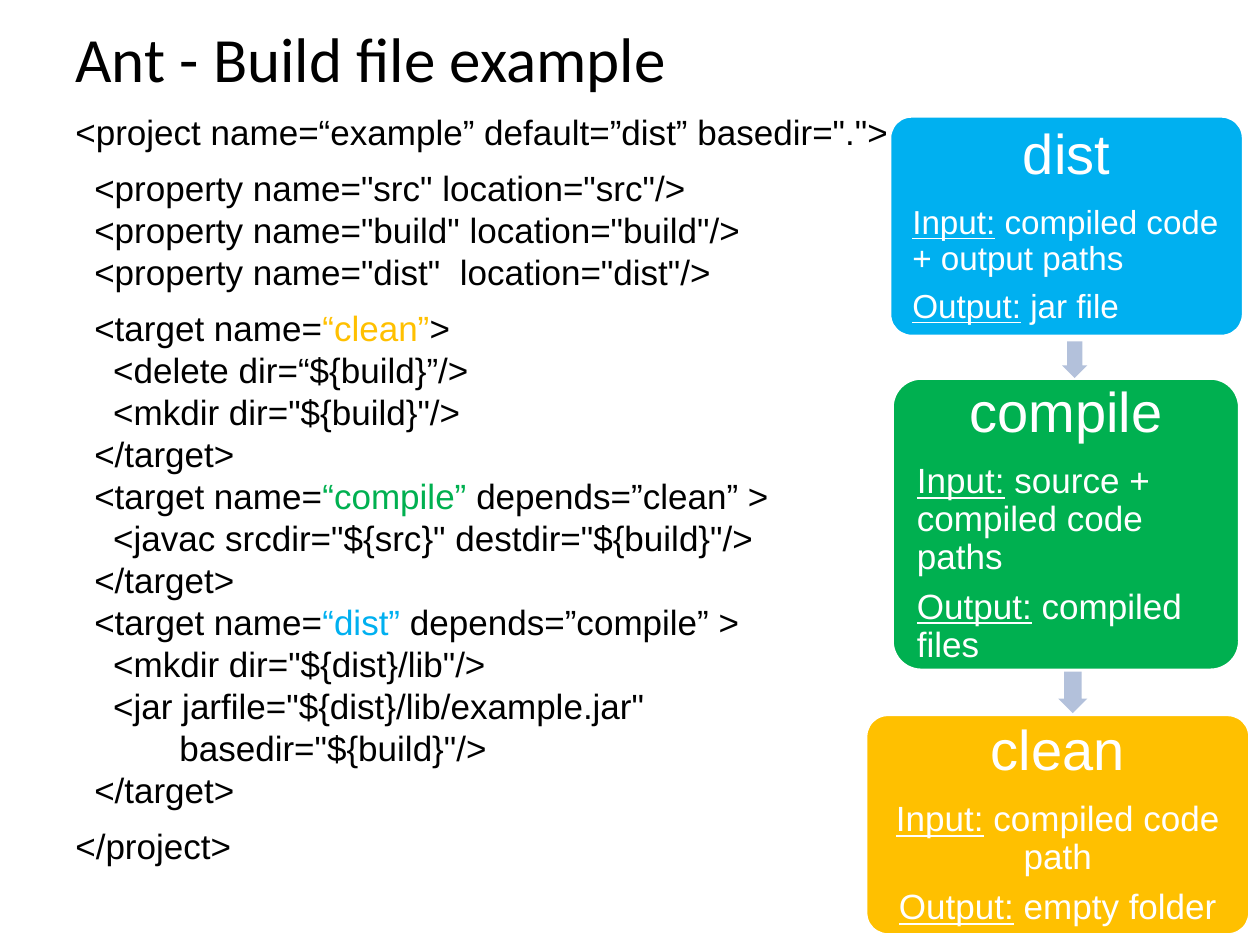
from pptx import Presentation
from pptx.dml.color import RGBColor
from pptx.enum.shapes import MSO_SHAPE
from pptx.enum.text import MSO_ANCHOR, PP_ALIGN
from pptx.util import Inches, Pt

ROUND, DOWN = MSO_SHAPE.ROUNDED_RECTANGLE, MSO_SHAPE.DOWN_ARROW
TOP, MIDDLE = MSO_ANCHOR.TOP, MSO_ANCHOR.MIDDLE
LEFT, CENTER = PP_ALIGN.LEFT, PP_ALIGN.CENTER
BLACK, WHITE, PALE = "000000", "FFFFFF", "B3C1DB"
BLUE, GREEN, GOLD = "00B0F0", "00B050", "FFC000"
STEP = 0.15
GAP = 8

CODE = [
    (0, 0, ["<project name=“example” default=”dist” basedir=\".\">"]),
    (1, GAP, ["<property name=\"src\" location=\"src\"/>"]),
    (1, 0, ["<property name=\"build\" location=\"build\"/>"]),
    (1, 0, ["<property name=\"dist\"  location=\"dist\"/>"]),
    (1, GAP, ["<target name=", ("“clean”", GOLD), ">"]),
    (2, 0, ["<delete dir=“${build}”/>"]),
    (2, 0, ["<mkdir dir=\"${build}\"/>"]),
    (1, 0, ["</target>"]),
    (1, 0, ["<target name=", ("“compile” ", GREEN), "depends=”clean” >"]),
    (2, 0, ["<javac srcdir=\"${src}\" destdir=\"${build}\"/>"]),
    (1, 0, ["</target>"]),
    (1, 0, ["<target name=", ("“dist” ", BLUE), "depends=”compile” >"]),
    (2, 0, ["<mkdir dir=\"${dist}/lib\"/>"]),
    (2, 0, ["<jar jarfile=\"${dist}/lib/example.jar\""]),
    (5.5, 0, ["basedir=\"${build}\"/>"]),
    (1, 0, ["</target>"]),
    (0, GAP, ["</project>"]),
]

CARDS = [
    ((7.06, 0.92, 2.81, 1.75), BLUE, "dist", 19, LEFT,
     "compiled code + output paths", "jar file"),
    ((7.08, 3, 2.76, 2.32), GREEN, "compile", 20, LEFT,
     "source + compiled code paths", "compiled files"),
    ((6.87, 5.67, 3.05, 1.75), GOLD, "clean", 20, CENTER,
     "compiled code path", "empty folder"),
]
ARROWS = [(8.43, 2.71, 0.2, 0.29), (8.4, 5.33, 0.23, 0.33)]


def tint(text):
    return RGBColor.from_string(text)


def apply(target, values):
    for name, value in values.items():
        setattr(target, name, value)


def write(para, text, size, color=BLACK, face="Arial", under=False):
    run = para.add_run()
    run.text = text
    apply(run.font, {"size": Pt(size), "name": face, "underline": under})
    run.font.color.rgb = tint(color)


def field(slide, box, anchor):
    frame = slide.shapes.add_textbox(*map(Inches, box)).text_frame
    apply(frame, {"word_wrap": True, "vertical_anchor": anchor})
    return frame


def block(slide, kind, box, fill):
    shape = slide.shapes.add_shape(kind, *map(Inches, box))
    shape.shadow.inherit = False
    shape.fill.solid()
    shape.fill.fore_color.rgb = tint(fill)
    return shape


def title(slide, box):
    frame = field(slide, box, MIDDLE)
    write(frame.paragraphs[0], "Ant - Build file example", 36, face="Calibri")


def code(slide, box):
    frame = field(slide, box, TOP)
    for row, (depth, before, parts) in enumerate(CODE):
        para = frame.add_paragraph() if row else frame.paragraphs[0]
        para.space_before = Pt(before)
        props = para._p.get_or_add_pPr()
        props.set("marL", str(Inches(depth * STEP)))
        props.set("indent", "0")
        for part in parts:
            text, color = (part, BLACK) if isinstance(part, str) else part
            write(para, text, 20, color)


def card(slide, box, fill, name, size, align, source, result):
    shape = block(slide, ROUND, box, fill)
    shape.adjustments[0] = 0.1
    shape.line.color.rgb = tint(WHITE)
    shape.line.width = Pt(2)
    frame = shape.text_frame
    pad = Inches(0.13)
    apply(frame, {"word_wrap": True, "vertical_anchor": MIDDLE,
                  "margin_left": pad, "margin_right": pad,
                  "margin_top": pad, "margin_bottom": pad})
    head = frame.paragraphs[0]
    apply(head, {"alignment": CENTER, "line_spacing": 0.9,
                 "space_after": Pt(11)})
    write(head, name, 32, WHITE)
    for label, text in (("Input:", source), ("Output:", result)):
        para = frame.add_paragraph()
        apply(para, {"alignment": align, "line_spacing": 0.9,
                     "space_after": Pt(7)})
        write(para, label, size, WHITE, under=True)
        write(para, " " + text, size, WHITE)


def arrow(slide, box):
    shape = block(slide, DOWN, box, PALE)
    shape.line.fill.background()
    shape.adjustments[0] = 0.6
    shape.adjustments[1] = 0.5


deck = Presentation()
apply(deck, {"slide_width": Inches(10), "slide_height": Inches(7.5)})
page = deck.slides.add_slide(deck.slide_layouts[6])
code(page, (0.5, 0.83, 9, 5.7))
title(page, (0.5, 0.08, 9, 0.75))
for item in CARDS:
    card(page, *item)
for place in ARROWS:
    arrow(page, place)
deck.save("out.pptx")
